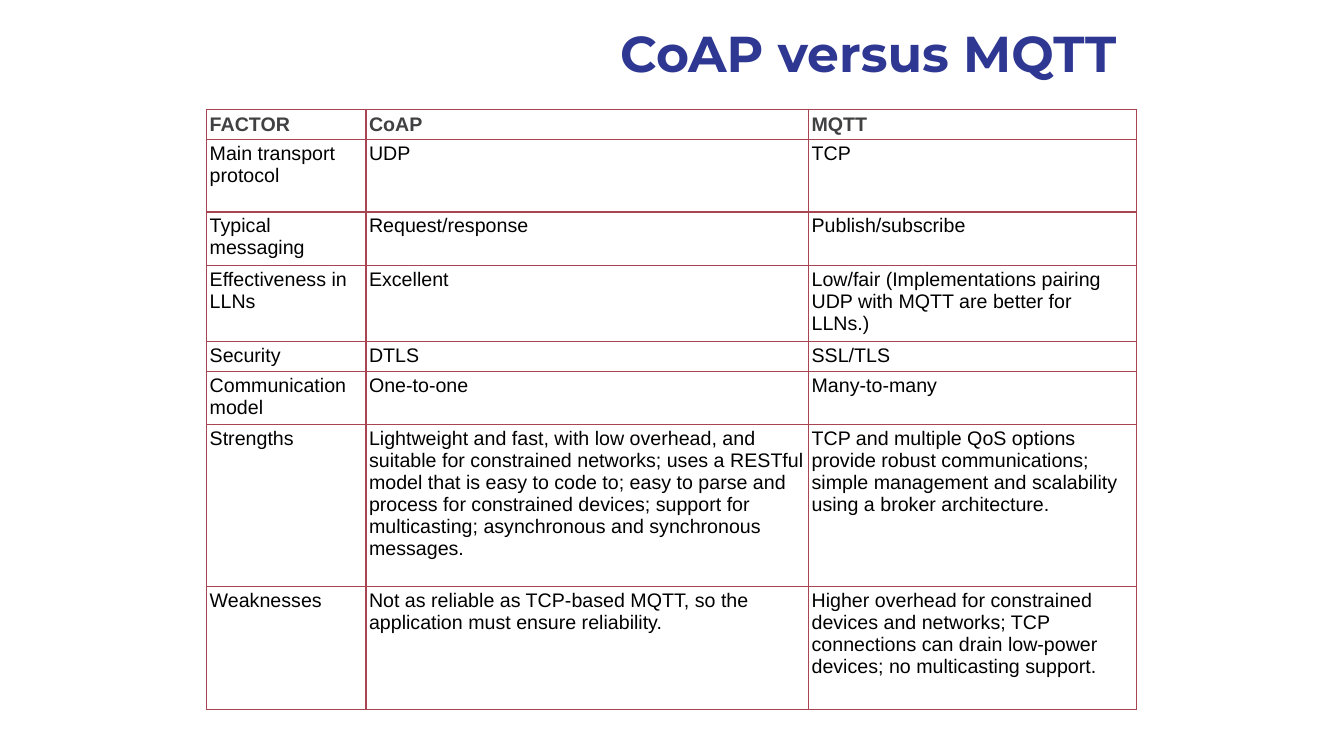
from pptx import Presentation
from pptx import util as u
from pptx.dml import color
from pptx.enum import text
from pptx.oxml import parse_xml
from pptx.oxml import ns

COLS, ROWS = 1333, 750
BLUE, GREY, BLACK, WHITE, RED = "2E3791", "414042", "000000", "FFFFFF", "A94552"

FACTORS = [
    ("FACTOR", "CoAP", "MQTT"),
    ("Main transport protocol", "UDP", "TCP"),
    ("Typical messaging", "Request/response", "Publish/subscribe"),
    ("Effectiveness in LLNs", "Excellent",
     "Low/fair (Implementations pairing UDP with MQTT are better for LLNs.)"),
    ("Security", "DTLS", "SSL/TLS"),
    ("Communication model", "One-to-one", "Many-to-many"),
    ("Strengths",
     "Lightweight and fast, with low overhead, and suitable for constrained networks; "
     "uses a RESTful model that is easy to code to; easy to parse and process for "
     "constrained devices; support for multicasting; asynchronous and synchronous messages.",
     "TCP and multiple QoS options provide robust communications; "
     "simple management and scalability using a broker architecture."),
    ("Weaknesses",
     "Not as reliable as TCP-based MQTT, so the application must ensure reliability.",
     "Higher overhead for constrained devices and networks; "
     "TCP connections can drain low-power devices; no multicasting support."),
]


def tint(code):
    return color.RGBColor.from_string(code)


class Deck:
    """Holds the style and the current slide, measured in grid columns and rows."""

    def __init__(self):
        self.deck = Presentation()
        self.deck.slide_width = u.Inches(13.33)
        self.deck.slide_height = u.Inches(7.5)
        self.slide = self.deck.slides.add_slide(self.deck.slide_layouts[6])

    def wide(self, cols):
        return round(self.deck.slide_width * cols / COLS)

    def high(self, rows):
        return round(self.deck.slide_height * rows / ROWS)

    def place(self, left, top, width, height):
        return self.wide(left), self.high(top), self.wide(width), self.high(height)

    def label(self, frame, words, size, face, hue, bold):
        frame.text = words
        font = frame.paragraphs[0].runs[0].font
        font.size, font.name, font.bold = u.Pt(size), face, bold
        font.color.rgb = tint(hue)

    def title(self, words, *spot):
        frame = self.slide.shapes.add_textbox(*self.place(*spot)).text_frame
        frame.word_wrap = True
        self.label(frame, words, 36, "Montserrat", BLUE, True)
        frame.paragraphs[0].alignment = text.PP_ALIGN.RIGHT

    def edge(self, cell):
        props = cell._tc.get_or_add_tcPr()
        for side in "LRTB":
            props.append(parse_xml(
                f'<a:ln{side} {ns.nsdecls("a")} w="{u.Pt(1)}"><a:solidFill>'
                f'<a:srgbClr val="{RED}"/></a:solidFill></a:ln{side}>'))

    def cell(self, cell, words, head):
        cell.margin_left = cell.margin_right = self.wide(3)
        cell.margin_top = cell.margin_bottom = self.high(3)
        anchor = text.MSO_ANCHOR
        cell.vertical_anchor = anchor.MIDDLE if head else anchor.TOP
        self.edge(cell)
        cell.fill.solid()
        cell.fill.fore_color.rgb = tint(WHITE)
        self.label(cell.text_frame, words, 14, "Arial", GREY if head else BLACK, head)

    def table(self, data, left, top, widths, heights):
        spot = self.place(left, top, sum(widths), sum(heights))
        table = self.slide.shapes.add_table(len(data), len(widths), *spot).table
        table.first_row = table.horz_banding = False
        for col, width in zip(table.columns, widths):
            col.width = self.wide(width)
        for row, height in zip(table.rows, heights):
            row.height = self.high(height)
        for r, line in enumerate(data):
            for c, words in enumerate(line):
                self.cell(table.cell(r, c), words, r == 0)


def main():
    page = Deck()
    page.title("CoAP versus MQTT", 217, 17, 900, 125)
    page.table(FACTORS, 205, 109, (158, 439, 325), (28, 72, 51, 73, 28, 51, 161, 122))
    page.deck.save("out.pptx")


if __name__ == "__main__":
    main()
